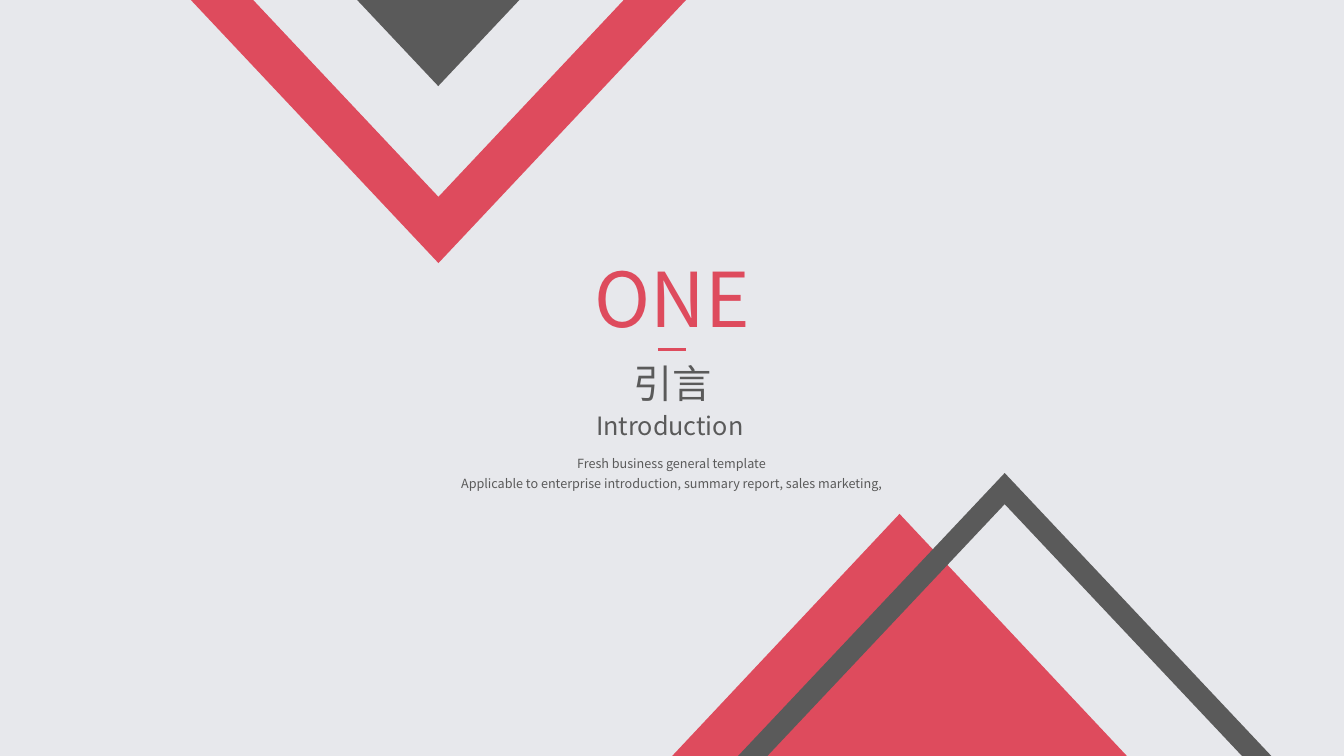
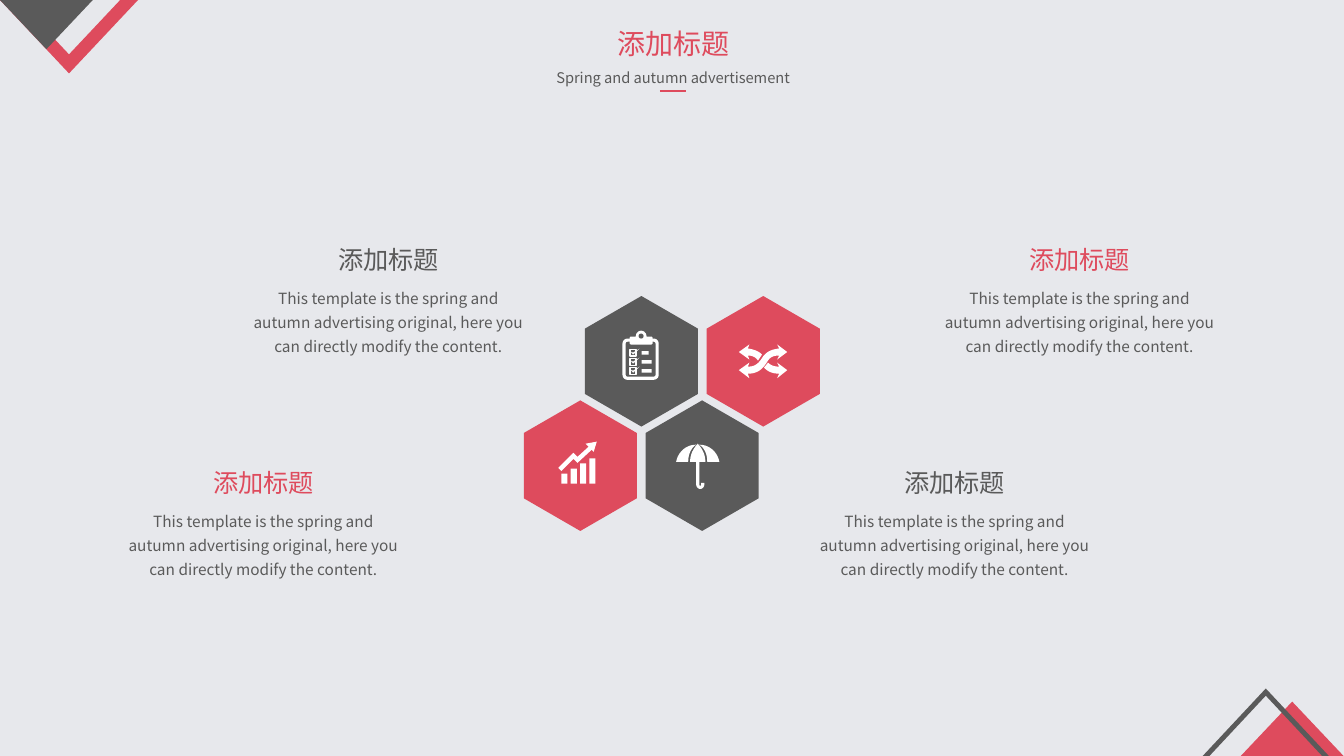
from pptx import Presentation
from pptx.dml.color import RGBColor
from pptx.enum.shapes import MSO_CONNECTOR, MSO_SHAPE
from pptx.enum.text import MSO_ANCHOR, PP_ALIGN
from pptx.oxml.ns import qn
from pptx.util import Cm, Pt
from lxml.etree import SubElement

RED, GRAY, WHITE, PALE = "DE4B5D", "5A5A5A", "FFFFFF", "E7E8EC"
FONT = "Noto Sans CJK SC"
HEX_WIDTH, HEX_HEIGHT = 2.85, 3.29
CAPTION = "添加标题"
BODY = ("This template is the spring and autumn advertising original, "
        "here you can directly modify the content.")


def rgb(code):
    """Turn a hex string into a colour."""
    return RGBColor.from_string(code)


def paint(shape, color, outline=None):
    """Fill a shape, or only outline it when a line width is given."""
    shape.shadow.inherit = False
    if outline:
        shape.fill.background()
        shape.line.color.rgb = rgb(color)
        shape.line.width = Pt(outline)
    else:
        shape.fill.solid()
        shape.fill.fore_color.rgb = rgb(color)
        shape.line.fill.background()


def preset(slide, kind, box, color, outline=None, corner=None):
    """Draw a preset shape in a box given in centimetres."""
    shape = slide.shapes.add_shape(kind, *map(Cm, box))
    if corner is not None:
        shape.adjustments[0] = corner
    paint(shape, color, outline)


def polygon(slide, contours, color):
    """Draw closed contours of centimetre points as one freeform."""
    builder = None
    for contour in contours:
        first, *rest = [(Cm(x), Cm(y)) for x, y in contour]
        if builder is None:
            builder = slide.shapes.build_freeform(*first)
        else:
            builder.move_to(*first)
        builder.add_line_segments(rest, close=True)
    paint(builder.convert_to_shape(), color)


def flatten(nodes, steps=10):
    """Replace each cubic curve node by points along the curve."""
    points = []
    for node in nodes:
        if len(node) == 2:
            points.append(node)
            continue
        start, pairs = points[-1], list(zip(node[::2], node[1::2]))
        for step in range(1, steps + 1):
            t = step / steps
            weights = ((1 - t) ** 3, 3 * t * (1 - t) ** 2, 3 * t * t * (1 - t), t ** 3)
            points.append(tuple(sum(w * p[axis] for w, p in zip(weights, [start, *pairs]))
                                for axis in (0, 1)))
    return points


def chevron(slide, box, color, up=False, band=None):
    """Draw a V band or, without a band width, a full triangle."""
    left, top, width, height = box
    band = band or width / 2
    inner = height * (1 - 2 * band / width)
    outline = [(0, 0), (width / 2, height), (width, 0),
               (width - band, 0), (width / 2, inner), (band, 0)]
    polygon(slide, [[(left + x, top + (height - y if up else y)) for x, y in outline]], color)


def write(frame, lines, size, color, spacing=1.0):
    """Fill a text frame with centred paragraphs in the shared style."""
    for name, value in {"word_wrap": True, "vertical_anchor": MSO_ANCHOR.TOP}.items():
        setattr(frame, name, value)
    for index, line in enumerate(lines):
        paragraph = frame.paragraphs[0] if index == 0 else frame.add_paragraph()
        for name, value in {"alignment": PP_ALIGN.CENTER, "line_spacing": spacing,
                            "space_before": Pt(0)}.items():
            setattr(paragraph, name, value)
        run = paragraph.add_run()
        run.text = line
        run.font.color.rgb = rgb(color)
        for name, value in {"size": Pt(size), "name": FONT}.items():
            setattr(run.font, name, value)
        SubElement(run.font._element, qn("a:ea"), typeface=FONT)


def label(slide, box, lines, size, color, spacing=1.0):
    """Add a text box."""
    frame = slide.shapes.add_textbox(*map(Cm, box)).text_frame
    write(frame, lines, size, color, spacing)


def heading(slide, box, text, size, color):
    """Place and format the title placeholder."""
    title = slide.shapes.title
    for name, value in zip(("left", "top", "width", "height"), box):
        setattr(title, name, Cm(value))
    write(title.text_frame, [text], size, color)


def accent(slide, left, top, width):
    """Draw the short red rule beside a heading."""
    rule = slide.shapes.add_connector(MSO_CONNECTOR.STRAIGHT, Cm(left), Cm(top),
                                      Cm(left + width), Cm(top))
    rule.line.color.rgb = rgb(RED)
    rule.line.width = Pt(1.75)
    SubElement(rule._element.spPr, qn("a:effectLst"))


def trace(slide, box, grid, paths):
    """Draw white icon paths whose grid spans the box width."""
    left, top, width = box
    unit = width / grid
    polygon(slide, [[(left + x * unit, top + y * unit) for x, y in flatten(nodes)]
                    for nodes in paths], WHITE)


def clipboard_icon(slide, box, tile):
    """Draw a clipboard with three ticked rows."""
    left, top, width = box
    unit = width / 36

    def part(kind, x, y, w, h, color=WHITE, **style):
        """Place one part on the icon grid."""
        preset(slide, kind, (left + x * unit, top + y * unit, w * unit, h * unit), color, **style)

    part(MSO_SHAPE.ROUNDED_RECTANGLE, 1.5, 9.5, 33, 38, outline=2.25, corner=0.1)
    part(MSO_SHAPE.ROUNDED_RECTANGLE, 7, 6, 23, 8, corner=0.2)
    part(MSO_SHAPE.OVAL, 13, 0, 11, 12)
    part(MSO_SHAPE.OVAL, 16, 3, 5, 5, color=tile)
    for row, bar in enumerate((7, 10, 10)):
        y = 18.5 + 9 * row
        part(MSO_SHAPE.RECTANGLE, 7.5, y, 6, 7, outline=0.9)
        part(MSO_SHAPE.RECTANGLE, 19, y + 2, bar, 3.5)
        trace(slide, box, 36, [[(8, y + 2.5), (10.5, y + 3.5), (17, y - 0.5), (10.5, y + 5.5)]])


def shuffle_icon(slide, box, tile):
    """Draw two crossing double arrows."""
    trace(slide, box, 48, [
        [(27, 19), (30, 14, 32, 11, 40, 11), (38, 15), (48, 7.5), (38, 0), (40, 4),
         (29, 5, 25, 10, 22, 15), (19, 19, 16, 22, 9, 22), (10.5, 18), (0, 25.5),
         (10.5, 33.5), (9, 29), (20, 29, 24, 23, 27, 19)],
        [(48, 25.5), (38, 33.5), (40, 29), (32, 29, 28, 26, 25, 23), (29, 18),
         (31, 20, 34, 22, 40, 22), (38, 18)],
        [(0, 7.5), (10.5, 0), (9, 4), (16, 5, 20, 7, 23, 10), (19, 16),
         (17, 13, 14, 11, 9, 11), (10.5, 15)]])


def growth_icon(slide, box, tile):
    """Draw rising bars under an arrow."""
    trace(slide, box, 38, [[(35, 10), (38, 0), (27, 2), (30, 5), (19, 15), (15, 11), (0, 26),
                            (3, 29), (15, 17), (19, 21), (33, 8)]])
    left, top, width = box
    unit = width / 38
    for step in range(4):
        rise = 10 + 5 * step
        preset(slide, MSO_SHAPE.RECTANGLE,
               (left + (3 + 9.25 * step) * unit, top + (41.5 - rise) * unit,
                6 * unit, rise * unit), WHITE)


def umbrella_icon(slide, box, tile):
    """Draw an open umbrella."""
    panel = [(20, 1), (10, 1, 2, 8, 0, 18), (12, 18), (12, 7, 18, 2, 20, 1)]
    mirrored = [tuple(43 - v if i % 2 == 0 else v for i, v in enumerate(node))
                for node in panel]
    trace(slide, box, 43, [
        panel, mirrored,
        [(21.5, 0), (13, 9, 14, 18, 14, 18), (20, 18), (20, 41), (20, 43, 22, 45, 24, 45),
         (26, 45, 28, 43, 28, 41), (28, 39), (25, 39), (25, 41), (25, 42, 23, 42, 23, 41),
         (23, 18), (29, 18), (29, 18, 30, 9, 21.5, 0)]])


def hexagon_tile(slide, left, top, color, icon, inset):
    """Draw a pointed hexagon and its icon."""
    across, down = HEX_WIDTH, HEX_HEIGHT
    corners = [(across / 2, 0), (across, down / 4), (across, down * 3 / 4),
               (across / 2, down), (0, down * 3 / 4), (0, down / 4)]
    polygon(slide, [[(left + x, top + y) for x, y in corners]], color)
    x, y, width = inset
    icon(slide, (left + x, top + y, width), color)


def caption_block(slide, left, top, color):
    """Write a caption with its paragraph below."""
    label(slide, (left + 2.11, top, 3.32, 1.02), [CAPTION], 18, color)
    label(slide, (left, top + 0.99, 7.54, 2.08), [BODY], 11, GRAY, 1.3)


def section_slide(prs):
    """Build the section opener."""
    slide = prs.slides.add_slide(prs.slide_layouts[5])
    chevron(slide, (4.81, 0, 12.48, 6.63), RED, band=1.57)
    chevron(slide, (9, 0, 4.09, 2.17), GRAY)
    chevron(slide, (16.94, 12.95, 11.46, 6.1), RED, up=True)
    chevron(slide, (18.6, 11.92, 13.44, 7.13), GRAY, up=True, band=0.74)
    label(slide, (14.4, 6.22, 5.08, 2.57), ["ONE"], 54, RED)
    accent(slide, 16.58, 8.81, 0.72)
    heading(slide, (12.01, 8.92, 9.86, 1.45), "引言", 28, GRAY)
    label(slide, (10.53, 10.21, 12.7, 1.02), ["Introduction"], 18, GRAY)
    label(slide, (10.57, 11.25, 12.7, 1.24),
          ["Fresh business general template",
           "Applicable to enterprise introduction, summary report, sales marketing,"],
          9, GRAY, 1.3)


def hexagon_slide(prs):
    """Build the content slide with four hexagons and four captions."""
    slide = prs.slides.add_slide(prs.slide_layouts[5])
    chevron(slide, (0, 0, 3.48, 1.85), RED, band=0.45)
    chevron(slide, (0, 0, 2.34, 1.24), GRAY)
    chevron(slide, (31.27, 17.68, 2.59, 1.37), RED, up=True)
    chevron(slide, (30.31, 17.35, 3.18, 1.7), GRAY, up=True, band=0.17)
    heading(slide, (12.52, 0.53, 8.89, 1.12), CAPTION, 20, RED)
    label(slide, (12.52, 1.47, 8.89, 0.79), ["Spring and autumn advertisement"], 10.5, GRAY, 1.3)
    accent(slide, 16.63, 2.3, 0.67)
    tiles = [(GRAY, clipboard_icon, (0.95, 0.87, 0.91)),
             (RED, shuffle_icon, (0.81, 1.22, 1.22)),
             (RED, growth_icon, (0.87, 1.04, 0.97)),
             (GRAY, umbrella_icon, (0.77, 1.09, 1.09))]
    for index, (color, icon, inset) in enumerate(tiles):
        row, column = divmod(index, 2)
        hexagon_tile(slide, 14.74 + 3.07 * column - 1.54 * row, 7.46 + 2.63 * row,
                     color, icon, inset)
        caption_block(slide, 6.02 + 17.42 * column - 3.15 * row, 6.02 + 5.64 * row, color)


def main():
    """Build and save the deck."""
    prs = Presentation()
    prs.slide_width, prs.slide_height = Cm(33.87), Cm(19.05)
    backdrop = prs.slide_master.background.fill
    backdrop.solid()
    backdrop.fore_color.rgb = rgb(PALE)
    section_slide(prs)
    hexagon_slide(prs)
    prs.save("out.pptx")


if __name__ == "__main__":
    main()
